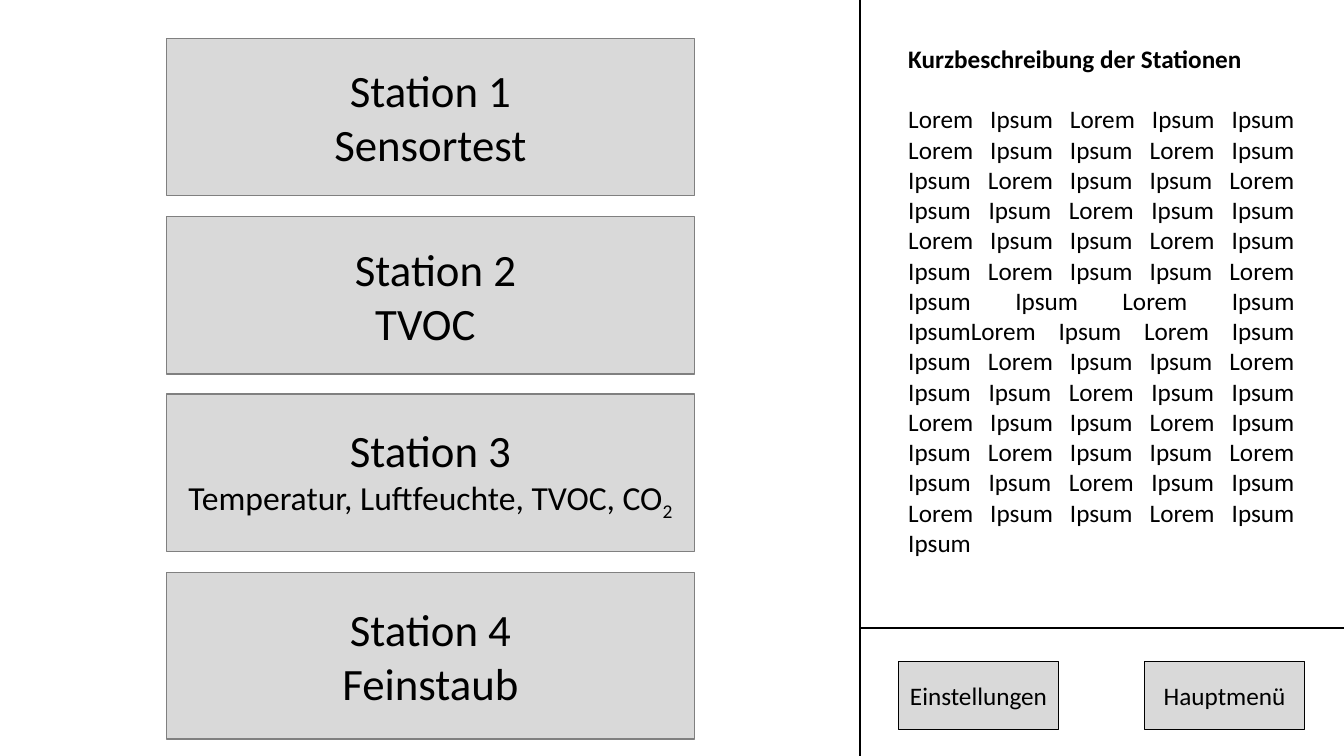
from dataclasses import dataclass

import lxml.etree
import pptx
import pptx.dml.color
import pptx.enum.shapes
import pptx.enum.text
import pptx.oxml.ns
import pptx.util
from pptx.util import Inches

FONT = "Calibri"
BLACK = "000000"
BUTTON_FILL = "D9D9D9"
STATION_LINE = "808080"
CENTER = pptx.enum.text.PP_ALIGN.CENTER
JUSTIFY = pptx.enum.text.PP_ALIGN.JUSTIFY


@dataclass(frozen=True)
class Span:
    text: str
    size: int
    bold: bool = False
    subscript: bool = False


@dataclass(frozen=True)
class Button:
    left: float
    top: float
    width: float
    height: float
    line: str
    lines: tuple[tuple[Span, ...], ...]


def color(value: str) -> pptx.dml.color.RGBColor:
    return pptx.dml.color.RGBColor.from_string(value)


def write_lines(frame, lines: tuple[tuple[Span, ...], ...], alignment) -> None:
    frame.word_wrap = True
    for index, spans in enumerate(lines):
        para = frame.paragraphs[0] if index == 0 else frame.add_paragraph()
        para.alignment = alignment
        for span in spans:
            run = para.add_run()
            run.text = span.text
            run.font.name = FONT
            run.font.size = pptx.util.Pt(span.size)
            run.font.bold = span.bold
            run.font.color.rgb = color(BLACK)
            if span.subscript:
                run.font._element.set("baseline", "-25000")


def draw_button(page, button: Button) -> None:
    box = page.shapes.add_shape(
        pptx.enum.shapes.MSO_SHAPE.RECTANGLE,
        Inches(button.left), Inches(button.top),
        Inches(button.width), Inches(button.height),
    )
    box.shadow.inherit = False
    box.fill.solid()
    box.fill.fore_color.rgb = color(BUTTON_FILL)
    box.line.color.rgb = color(button.line)
    box.line.width = pptx.util.Pt(1)
    box.text_frame.vertical_anchor = pptx.enum.text.MSO_ANCHOR.MIDDLE
    write_lines(box.text_frame, button.lines, CENTER)


def draw_divider(page, left: float, top: float, right: float, bottom: float) -> None:
    divider = page.shapes.add_connector(
        pptx.enum.shapes.MSO_CONNECTOR.STRAIGHT,
        Inches(left), Inches(top), Inches(right), Inches(bottom),
    )
    divider.line.color.rgb = color(BLACK)
    divider.line.width = pptx.util.Pt(2)
    lxml.etree.SubElement(
        divider._element.spPr, pptx.oxml.ns.qn("a:effectLst")
    )


def draw_description(page) -> None:
    passage = "Lorem Ipsum" + " Lorem Ipsum Ipsum" * 11
    box = page.shapes.add_textbox(
        Inches(8.91), Inches(0.38), Inches(4.03), Inches(5.55)
    )
    heading = Span("Kurzbeschreibung der Stationen", 18, bold=True)
    write_lines(box.text_frame, ((heading,), (Span(passage * 2, 18),)), JUSTIFY)
    box.text_frame.paragraphs[0].space_after = pptx.util.Pt(21.6)


STATIONS = (
    ((Span("Station 1", 32),), (Span("Sensortest", 32),)),
    ((Span(" Station 2", 32),), (Span("TVOC ", 32),)),
    (
        (Span("Station 3", 32),),
        (
            Span("Temperatur, Luftfeuchte, TVOC, CO", 24),
            Span("2", 24, subscript=True),
        ),
    ),
    ((Span("Station 4", 32),), (Span("Feinstaub", 32),)),
)
STATION_HEIGHTS = (1.56, 1.56, 1.56, 1.65)
STATION_TOP, STATION_PITCH = 0.38, 1.767
MENU = ((8.91, "Einstellungen"), (11.35, "Hauptmenü"))

deck = pptx.Presentation()
deck.slide_width, deck.slide_height = Inches(13.33), Inches(7.5)
page = deck.slides.add_slide(deck.slide_layouts.get_by_name("Blank"))

for index, (lines, height) in enumerate(zip(STATIONS, STATION_HEIGHTS)):
    top = round(STATION_TOP + index * STATION_PITCH, 2)
    draw_button(page, Button(1.65, top, 5.24, height, STATION_LINE, lines))

draw_divider(page, 8.53, 0, 8.53, 7.5)
draw_divider(page, 13.33, 6.23, 8.53, 6.23)
draw_description(page)

for left, label in MENU:
    draw_button(page, Button(left, 6.56, 1.59, 0.68, BLACK, ((Span(label, 18),),)))

deck.save("out.pptx")
